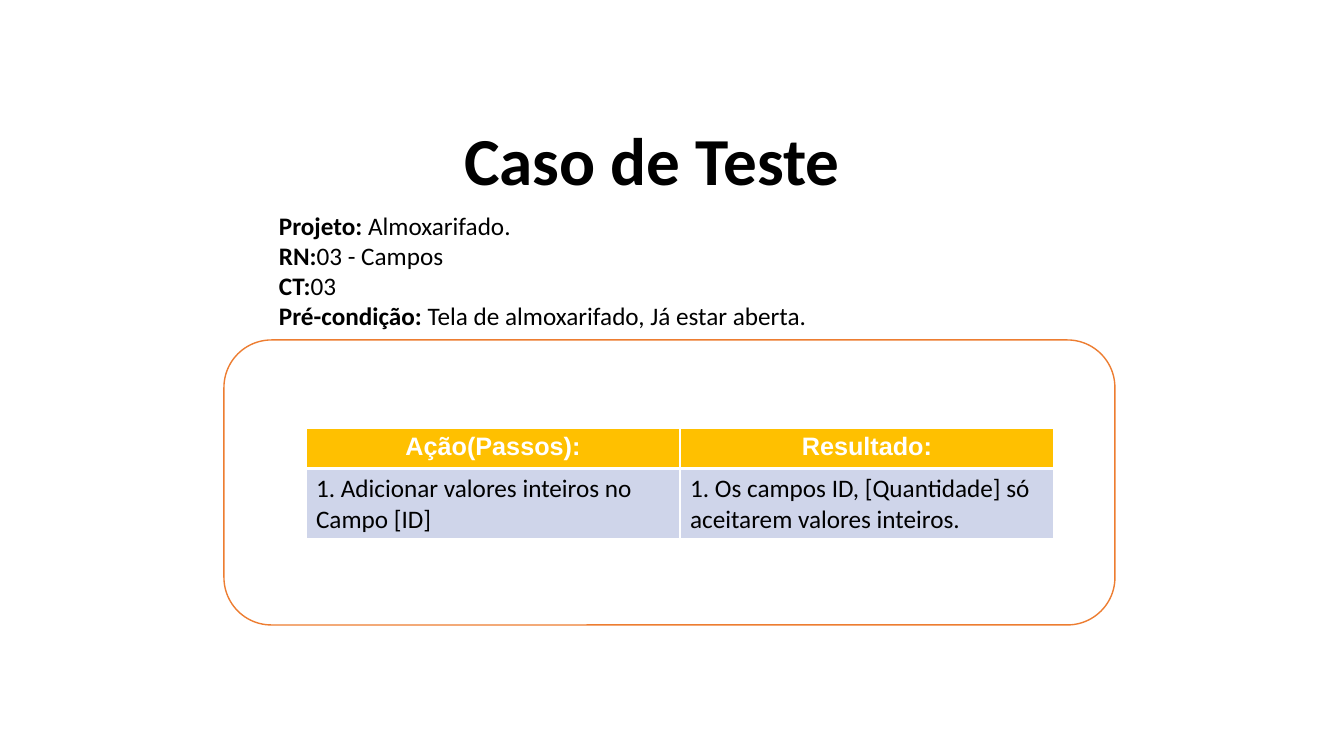
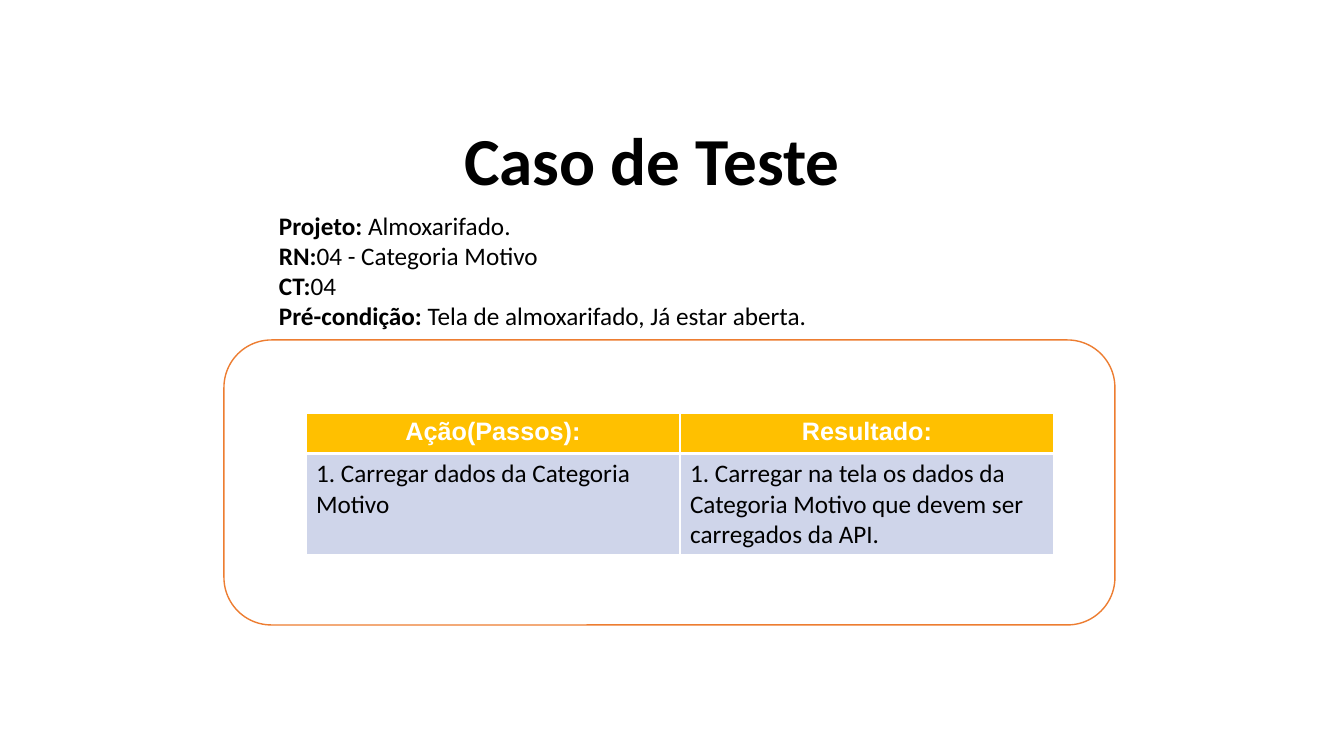
import pptx
import pptx.util
import pptx.dml.color
import pptx.enum.shapes
import pptx.enum.text
import pptx.oxml
import pptx.oxml.ns

Rgb = pptx.dml.color.RGBColor
Enum = pptx.enum.text
Pt = pptx.util.Pt

# Content
TITLE = "Caso de Teste"
HEADS = ("Ação(Passos):", "Resultado:")
CASES = [
    {
        "rule": "03 - Campos", "test": "03", "lines": 2,
        "cells": ("1. Adicionar valores inteiros no Campo [ID]",
                  "1. Os campos ID, [Quantidade] só aceitarem valores inteiros."),
    },
    {
        "rule": "04 - Categoria Motivo", "test": "04", "lines": 3,
        "cells": ("1. Carregar dados da Categoria Motivo",
                  "1. Carregar na tela os dados da Categoria Motivo que devem ser "
                  "carregados da API."),
    },
]

# Colours and text styles
BLACK = Rgb(0, 0, 0)
WHITE = Rgb(255, 255, 255)
ORANGE = Rgb(0xED, 0x7D, 0x31)
GOLD = Rgb(0xFF, 0xC0, 0x00)
PALE = Rgb(0xCF, 0xD5, 0xEA)

BIG = {"name": "Calibri", "size": Pt(48), "bold": True, "color": BLACK}
BODY = {"name": "Calibri", "size": Pt(18), "bold": False, "color": BLACK}
LABEL = {**BODY, "bold": True}
HEAD = {"name": "Arial", "size": Pt(18), "bold": True, "color": WHITE}

# Places in px: left, top, width, height
SCALE = 914400 / 100.8
SIZE = (1344, 756)
NAME = (454, 113, 452, 92)
INFO = (269, 205, 847, 133)
PANEL = (224, 340, 891, 285)
GRID_X, COL_W, MID_Y = 306, 374, 483
HEAD_H, LINE_H, PAD_H = 40, 30, 10


def emu(*px):
    return [round(n * SCALE) for n in px]


def write(para, text, style):
    run = para.add_run()
    run.text = text
    for key, value in style.items():
        if key == "color":
            run.font.color.rgb = value
        else:
            setattr(run.font, key, value)


def border(cell, low):
    props = cell._tc.get_or_add_tcPr()
    for spot, (side, width) in enumerate((("L", 1), ("R", 1), ("T", 1), ("B", low))):
        line = pptx.oxml.parse_xml(
            f'<a:ln{side} {pptx.oxml.ns.nsdecls("a")} w="{Pt(width)}">'
            f'<a:solidFill><a:srgbClr val="{WHITE}"/></a:solidFill></a:ln{side}>')
        props.insert(spot, line)


def add_title(slide):
    title = slide.shapes.title
    title.left, title.top, title.width, title.height = emu(*NAME)
    frame = title.text_frame
    frame.auto_size = Enum.MSO_AUTO_SIZE.NONE
    frame.vertical_anchor = Enum.MSO_ANCHOR.TOP
    para = frame.paragraphs[0]
    para.alignment = Enum.PP_ALIGN.LEFT
    write(para, TITLE, BIG)


def add_panel(slide):
    kind = pptx.enum.shapes.MSO_SHAPE.ROUNDED_RECTANGLE
    panel = slide.shapes.add_shape(kind, *emu(*PANEL))
    panel.shadow.inherit = False
    panel.fill.solid()
    panel.fill.fore_color.rgb = WHITE
    panel.line.color.rgb = ORANGE
    panel.line.width = Pt(1)


def add_info(slide, case):
    facts = (("Projeto: ", "Almoxarifado."), ("RN:", case["rule"]),
             ("CT:", case["test"]),
             ("Pré-condição: ", "Tela de almoxarifado, Já estar aberta."))
    frame = slide.shapes.add_textbox(*emu(*INFO)).text_frame
    frame.word_wrap = True
    for row, (label, value) in enumerate(facts):
        para = frame.add_paragraph() if row else frame.paragraphs[0]
        write(para, label, LABEL)
        write(para, value, BODY)


def add_steps(slide, case):
    # The table stays centred on MID_Y however many lines it holds
    body = PAD_H + LINE_H * case["lines"]
    high = HEAD_H + body
    place = emu(GRID_X, MID_Y - high / 2, COL_W * 2, high)
    table = slide.shapes.add_table(2, 2, *place).table
    rows = ((HEADS, HEAD_H, HEAD, GOLD, Enum.PP_ALIGN.CENTER, 3),
            (case["cells"], body, BODY, PALE, Enum.PP_ALIGN.LEFT, 1))
    for row, (texts, tall, style, fill, align, low) in enumerate(rows):
        table.rows[row].height = emu(tall)[0]
        for col, text in enumerate(texts):
            cell = table.cell(row, col)
            cell.fill.solid()
            cell.fill.fore_color.rgb = fill
            border(cell, low)
            para = cell.text_frame.paragraphs[0]
            para.alignment = align
            write(para, text, style)


def main():
    deck = pptx.Presentation()
    deck.slide_width, deck.slide_height = emu(*SIZE)
    for case in CASES:
        slide = deck.slides.add_slide(deck.slide_layouts[5])
        add_title(slide)
        add_panel(slide)
        add_info(slide, case)
        add_steps(slide, case)
    deck.save("out.pptx")


if __name__ == "__main__":
    main()
